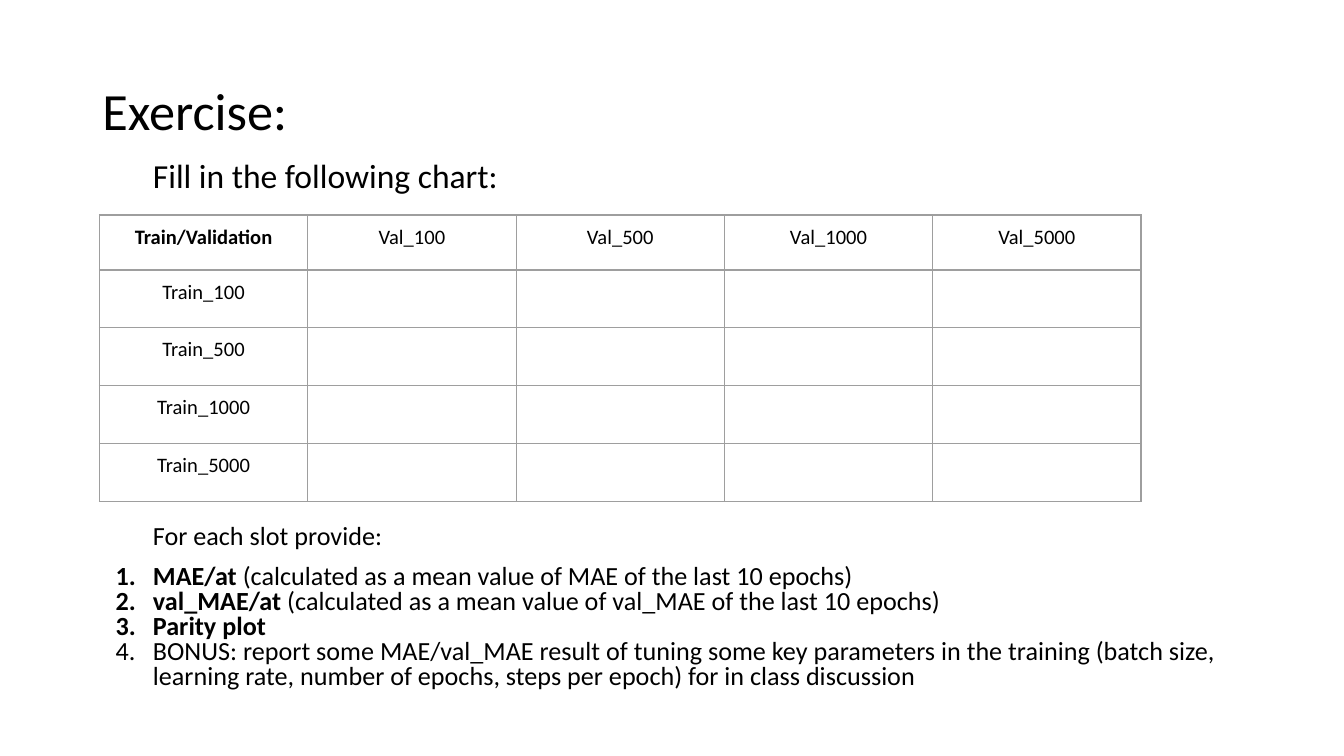
from pptx import Presentation
from pptx.dml.color import RGBColor
from pptx.enum.text import MSO_ANCHOR as Anchor, MSO_AUTO_SIZE as Fit, PP_ALIGN as Align
from pptx.oxml import parse_xml
from pptx.oxml.ns import nsdecls
from pptx.util import Pt


def style(obj, vals):
    for key, val in vals.items():
        setattr(obj, key, val)


def write(para, text, size, bold=False, ink="000000"):
    run = para.add_run()
    run.text = text
    style(run.font, {"name": "Calibri", "size": Pt(size), "bold": bold})
    run.font.color.rgb = RGBColor.from_string(ink)


prs = Presentation()
style(prs, {"slide_width": Pt(720), "slide_height": Pt(405)})
slide = prs.slides.add_slide(prs.slide_layouts[1])
title, body = slide.placeholders

# Frames of title and body
frames = [(title, 21.6, 78.3, Anchor.MIDDLE), (body, 84.4, 296.6, Anchor.TOP)]
for shape, top, high, anchor in frames:
    style(shape, {"left": Pt(49.5), "top": Pt(top), "width": Pt(621), "height": Pt(high)})
    style(shape.text_frame, {
        "word_wrap": True, "auto_size": Fit.NONE, "vertical_anchor": anchor,
        "margin_left": Pt(5.4), "margin_right": Pt(5.4),
        "margin_top": Pt(2.7), "margin_bottom": Pt(2.7)})

# Title
para = title.text_frame.paragraphs[0]
style(para, {"alignment": Align.LEFT, "line_spacing": 0.9})
write(para, "Exercise:", 28)

# Body: size, space before, numbered, bold part, plain part
lines = [
    (18, 8, False, "", "Fill in the following chart:"),
    (14, 177, False, "", "For each slot provide:"),  # space before leaves room for the table
    (14, 8, True, "MAE/at", " (calculated as a mean value of MAE of the last 10 epochs)"),
    (14, 0, True, "val_MAE/at", " (calculated as a mean value of val_MAE of the last 10 epochs)"),
    (14, 0, True, "Parity plot", ""),
    (14, 0, True, "", "BONUS: report some MAE/val_MAE result of tuning some key parameters "
     "in the training (batch size, learning rate, number of epochs, steps per epoch) "
     "for in class discussion"),
]
text = body.text_frame
for i, (size, gap, listed, strong, plain) in enumerate(lines):
    para = text.add_paragraph() if i else text.paragraphs[0]
    style(para, {"alignment": Align.LEFT, "line_spacing": 0.8,
                 "space_before": Pt(gap), "space_after": Pt(0)})
    props = para._p.get_or_add_pPr()
    props.set("marL", str(Pt(27)))
    props.set("indent", str(Pt(-20) if listed else 0))
    mark = 'buAutoNum type="arabicPeriod"' if listed else "buNone"
    if listed:
        props.append(parse_xml(
            f'<a:buClr {nsdecls("a")}><a:srgbClr val="000000"/></a:buClr>'))
        props.append(parse_xml(f'<a:buFont {nsdecls("a")} typeface="Calibri"/>'))
    props.append(parse_xml(f'<a:{mark.replace(" ", " " + nsdecls("a") + " ")}/>' if listed
                           else f'<a:{mark} {nsdecls("a")}/>'))
    if strong:
        write(para, strong, size, True)
    if plain:
        write(para, plain, size)

# Table: sizes across, training sets down
counts = [100, 500, 1000, 5000]
side = len(counts) + 1
table = slide.shapes.add_table(side, side, Pt(53.3), Pt(115.2), Pt(558), Pt(153.5)).table
style(table, {"first_row": False, "horz_banding": False})
for col in table.columns:
    col.width = Pt(111.6)
for r, row in enumerate(table.rows):
    row.height = Pt(31 if r else 29.5)
    for c, cell in enumerate(row.cells):
        props = cell._tc.get_or_add_tcPr()
        for edge in ("lnL", "lnR", "lnT", "lnB"):
            props.append(parse_xml(
                f'<a:{edge} {nsdecls("a")} w="{Pt(0.75)}"><a:solidFill>'
                f'<a:srgbClr val="9E9E9E"/></a:solidFill></a:{edge}>'))
        cell.fill.background()
        if r and c:
            continue
        label = f"Train_{counts[r - 1]}" if r else f"Val_{counts[c - 1]}" if c else "Train/Validation"
        style(cell, {f"margin_{s}": Pt(5) for s in ("left", "right", "top", "bottom")})
        para = cell.text_frame.paragraphs[0]
        para.alignment = Align.CENTER
        write(para, label, 11, r == c)

prs.save("out.pptx")
